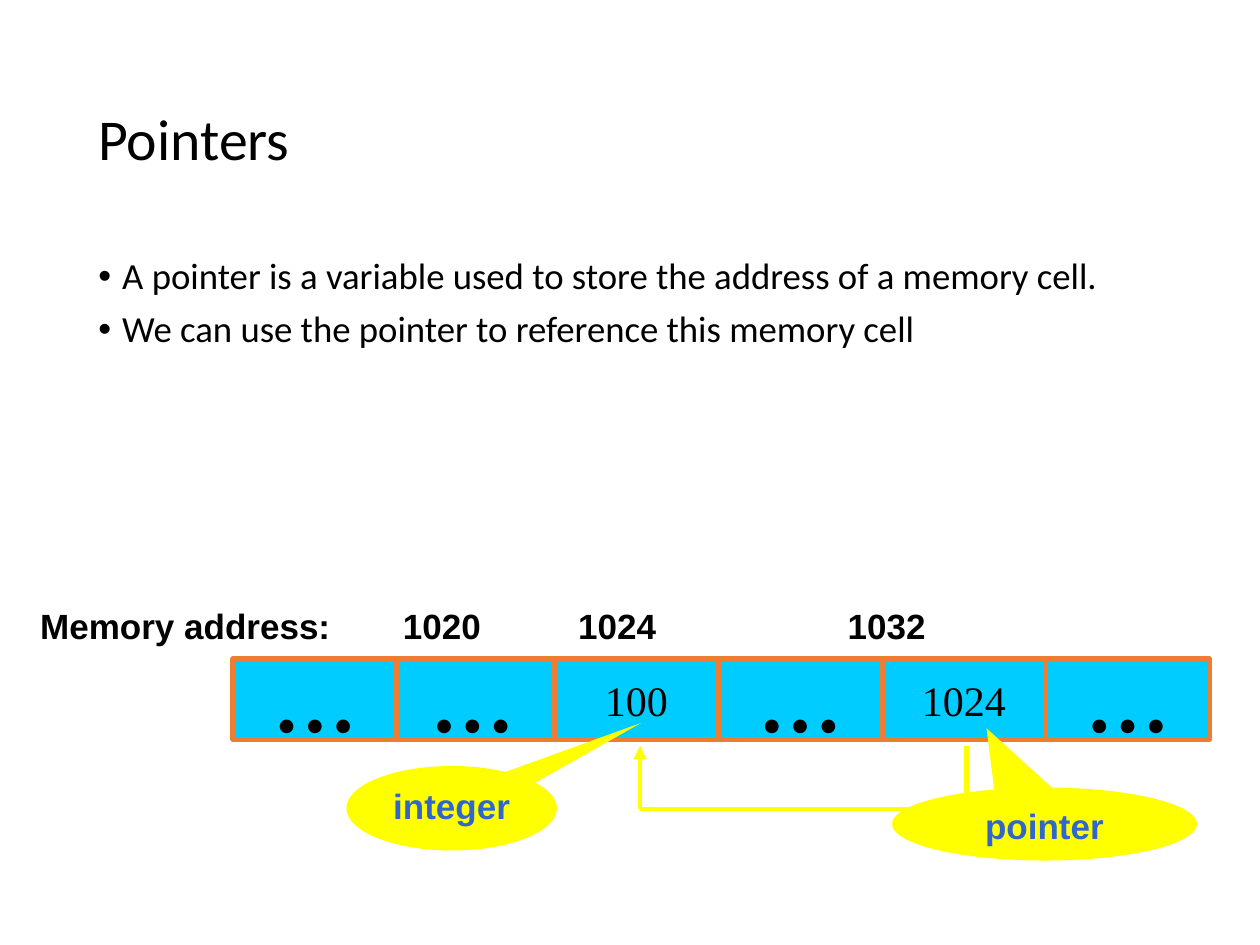
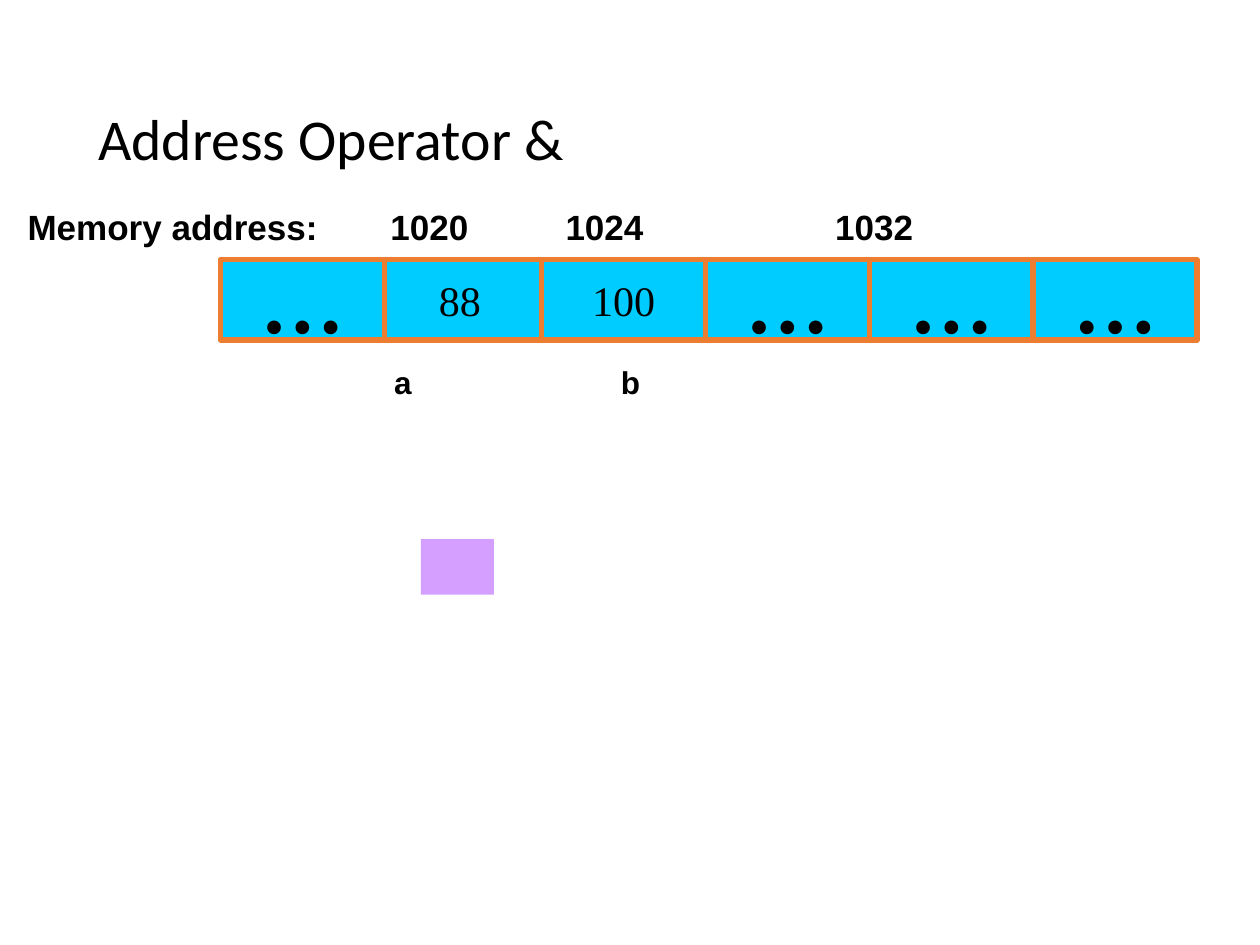
"""Build two slides on pointers and the address operator, each with a row of memory cells."""
import pptx
import pptx.dml.color
import pptx.enum.shapes
import pptx.enum.text
import pptx.util
from lxml import etree
from pptx.oxml.ns import qn

EMU_PER_PX = 9144
COLORS = {"text": "000000", "cell": "00CCFF", "border": "ED7D31",
          "callout": "FFFF00", "callout_text": "3366CC", "square": "D49FFF"}
SHAPE = pptx.enum.shapes.MSO_SHAPE
LEFT, CENTER = pptx.enum.text.PP_ALIGN.LEFT, pptx.enum.text.PP_ALIGN.CENTER
TOP, MIDDLE = pptx.enum.text.MSO_ANCHOR.TOP, pptx.enum.text.MSO_ANCHOR.MIDDLE
Pt = pptx.util.Pt

STYLES = {
    "title": {"font": {"name": "Calibri", "size": Pt(33), "bold": False},
              "paragraph": {"alignment": LEFT, "line_spacing": 0.9},
              "frame": {"vertical_anchor": MIDDLE, "word_wrap": True, "margin_left": 9 * EMU_PER_PX}},
    "body": {"font": {"name": "Calibri", "size": Pt(21), "bold": False},
             "paragraph": {"alignment": LEFT, "line_spacing": 0.9, "space_before": Pt(7.5)},
             "frame": {"vertical_anchor": TOP, "word_wrap": True, "margin_left": 9 * EMU_PER_PX}},
    "value": {"font": {"name": "Times New Roman", "size": Pt(24), "bold": False},
              "paragraph": {"alignment": CENTER},
              "frame": {"vertical_anchor": MIDDLE, "word_wrap": False}},
    "dots": {"font": {"name": "Times New Roman", "size": Pt(48), "bold": True},
             "paragraph": {"alignment": CENTER},
             "frame": {"vertical_anchor": MIDDLE, "word_wrap": False}},
    "address": {"font": {"name": "Arial", "size": Pt(20), "bold": True},
                "paragraph": {"alignment": LEFT, "space_before": Pt(5)},
                "frame": {"vertical_anchor": TOP, "word_wrap": True}},
    "variable": {"font": {"name": "Arial", "size": Pt(18), "bold": True},
                 "paragraph": {"alignment": LEFT, "space_before": Pt(4.5)},
                 "frame": {"vertical_anchor": TOP, "word_wrap": True}},
    "callout": {"font": {"name": "Arial", "size": Pt(20), "bold": True},
                "paragraph": {"alignment": CENTER, "space_before": Pt(5)},
                "frame": {"vertical_anchor": TOP, "word_wrap": True}},
}


def add_text(slide, box, lines, style, color="text", kind=None, fill=None, border=None):
    """Add a text box, or a filled shape of the given kind, with one paragraph per line."""
    box = [length * EMU_PER_PX for length in box]
    if kind is None:
        shape = slide.shapes.add_textbox(*box)
    else:
        shape = slide.shapes.add_shape(kind, *box)
        shape.shadow.inherit = False
        shape.fill.solid()
        shape.fill.fore_color.rgb = pptx.dml.color.RGBColor.from_string(COLORS[fill])
        if border:
            shape.line.color.rgb = pptx.dml.color.RGBColor.from_string(COLORS[border])
            shape.line.width = Pt(3)
        else:
            shape.line.fill.background()
    frame = shape.text_frame
    for index, line in enumerate(lines):
        paragraph = frame.add_paragraph() if index else frame.paragraphs[0]
        run = paragraph.add_run()
        run.text = line
        run.font.color.rgb = pptx.dml.color.RGBColor.from_string(COLORS[color])
        for target, part in ((frame, "frame"), (paragraph, "paragraph"), (run.font, "font")):
            for attribute, value in STYLES[style][part].items():
                setattr(target, attribute, value)
        if style == "body":
            properties = paragraph._p.get_or_add_pPr()
            properties.set("marL", str(19 * EMU_PER_PX))
            properties.set("indent", str(-19 * EMU_PER_PX))
            etree.SubElement(properties, qn("a:buFont")).set("typeface", "Arial")
            etree.SubElement(properties, qn("a:buChar")).set("char", "•")
    return shape


def add_memory(slide, left, top, values):
    """Add the address labels and the row of memory cells below them."""
    offsets = [0] + [125 + 130 * step for step in range(5)]
    for offset, value in reversed(list(zip(offsets, values))):
        add_text(slide, (left + offset, top, 130, 64), [value], "dots" if value == "…" else "value",
                 kind=SHAPE.RECTANGLE, fill="cell", border="border")
    for offset, width, label in ((-163, 325, "Memory address:"), (125, 106, "1020"),
                                 (264, 106, "1024"), (478, 157, "1032")):
        add_text(slide, (left + offset, top - 48, width, 44), [label], "address")


presentation = pptx.Presentation()
presentation.slide_width = 1000 * EMU_PER_PX
presentation.slide_height = 750 * EMU_PER_PX
slides = []
for title in ("Pointers", "Address Operator &"):
    slide = presentation.slides.add_slide(presentation.slide_layouts[6])
    add_text(slide, (69, 40, 863, 145), [title], "title")
    slides.append(slide)
pointers, address_operator = slides

add_text(pointers, (69, 200, 863, 476),
         ["A pointer is a variable used to store the address of a memory cell.",
          "We can use the pointer to reference this memory cell"], "body")
add_memory(pointers, 185, 523, ["…", "…", "100", "…", "1024", "…"])

for start_x, start_y, end_x, end_y, has_arrow in ((508, 642, 508, 592, True),
                                                  (508, 642, 767, 642, False),
                                                  (767, 592, 767, 642, False)):
    ends = [length * EMU_PER_PX for length in (start_x, start_y, end_x, end_y)]
    connector = pointers.shapes.add_connector(pptx.enum.shapes.MSO_CONNECTOR.STRAIGHT, *ends)
    connector.line.color.rgb = pptx.dml.color.RGBColor.from_string(COLORS["callout"])
    connector.line.width = Pt(2.5)
    if has_arrow:
        etree.SubElement(connector.line._get_or_add_ln(), qn("a:tailEnd")).set("type", "triangle")
    etree.SubElement(connector._element.spPr, qn("a:effectLst"))

for box, label, tip in (((275, 608, 167, 67), "integer", (0.9, -1.01)),
                        ((708, 625, 242, 58), "pointer", (-0.19, -1.31))):
    callout = add_text(pointers, box, [label], "callout", color="callout_text",
                       kind=SHAPE.OVAL_CALLOUT, fill="callout")
    callout.adjustments[0], callout.adjustments[1] = tip

add_memory(address_operator, 175, 206, ["…", "88", "100", "…", "…", "…"])
for left, variable in ((303, "a"), (483, "b")):
    add_text(address_operator, (left, 283, 35, 40), [variable], "variable")
add_text(address_operator, (334, 428, 58, 44), [], "value", kind=SHAPE.RECTANGLE, fill="square")

presentation.save("out.pptx")
